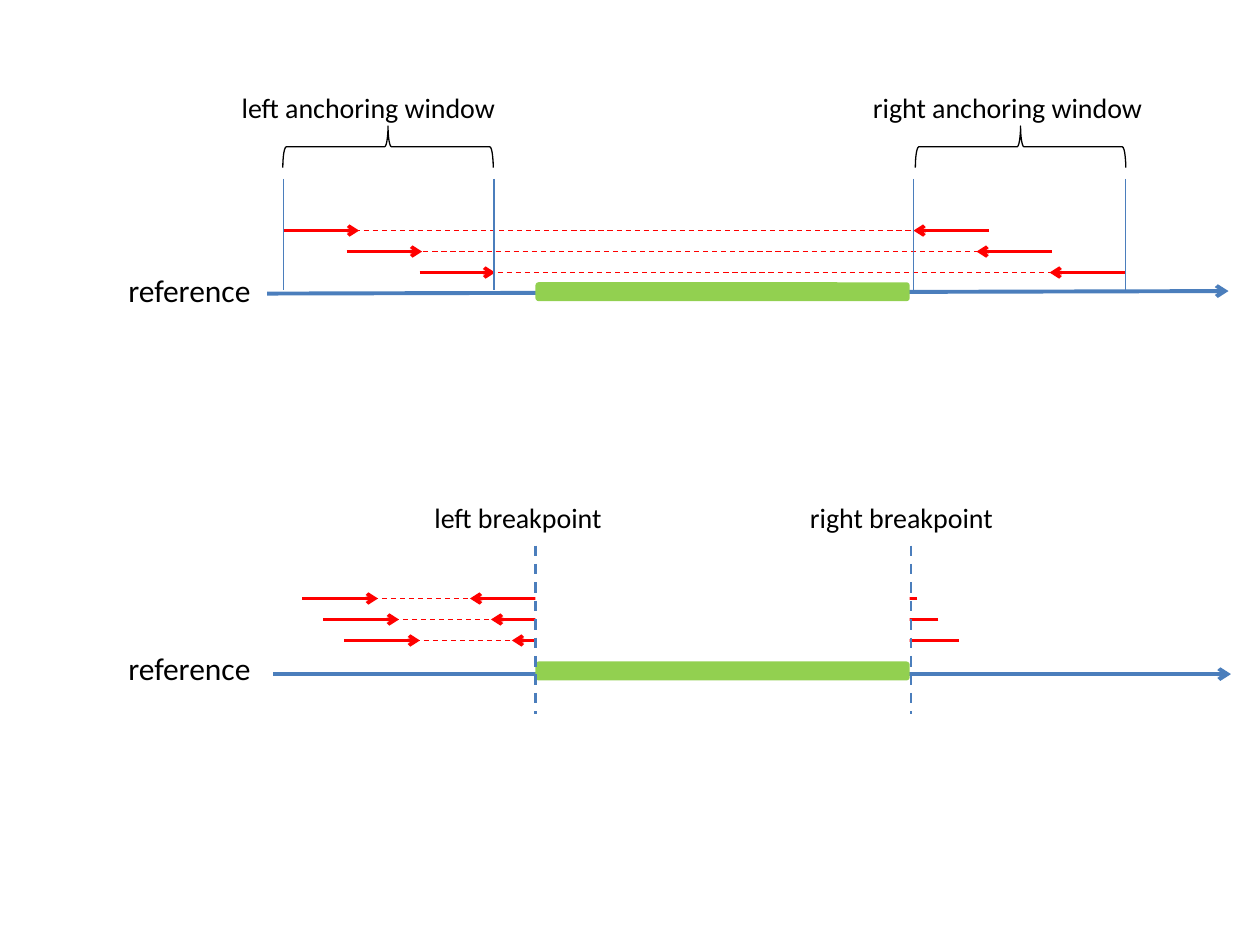
"""Draw reads around anchoring windows and breakpoints on a reference."""
from dataclasses import dataclass

from lxml.etree import SubElement
from pptx import Presentation
from pptx.dml.color import RGBColor
from pptx.enum.dml import MSO_LINE_DASH_STYLE as Dash
from pptx.enum.shapes import MSO_CONNECTOR as Connector, MSO_SHAPE as Preset
from pptx.oxml.ns import qn
from pptx.shapes.shapetree import SlideShapes
from pptx.util import Inches, Pt


@dataclass(frozen=True)
class Theme:
    font: str = "Calibri"
    text: str = "000000"
    reference: str = "4B7EBC"
    read: str = "FF0000"
    region: str = "92D050"
    background: str = "FFFFFF"
    reference_size: float = 18
    label_size: float = 16
    axis_width: float = 2.25
    read_width: float = 2
    breakpoint_width: float = 1.5
    thin_width: float = 0.75


@dataclass(frozen=True)
class Label:
    text: str
    left: float
    top: float
    width: float
    height: float = 0.37
    size: float = Theme.label_size


@dataclass(frozen=True)
class Stroke:
    color: str
    width: float
    dashed: bool = False
    arrow: bool = False


@dataclass(frozen=True)
class ReadPair:
    left: float
    y: float
    gap_start: float
    gap_length: float
    mate_tip: float
    mate_length: float


@dataclass(frozen=True)
class Window:
    label: Label
    left: float
    right: float
    brace_center: float


@dataclass(frozen=True)
class Breakpoint:
    label: Label
    x: float


THEME = Theme()
READ_LENGTH = 0.6
ROW_GAP = 1 / 6
REGION_LEFT, REGION_WIDTH = 4.25, 2.97
AXIS = Stroke(THEME.reference, THEME.axis_width, arrow=True)
READ = Stroke(THEME.read, THEME.read_width, arrow=True)
INSERT = Stroke(THEME.read, THEME.thin_width, dashed=True)
WINDOW_EDGE = Stroke(THEME.reference, THEME.thin_width)
BREAK = Stroke(THEME.reference, THEME.breakpoint_width, dashed=True)

SPANNING_PAIRS = [
    ReadPair(left, 1.83 + row * ROW_GAP, gap_start, 4.9, 5, READ_LENGTH)
    for row, (left, gap_start) in enumerate([(2.25, 0.35), (2.75, 0.18), (3.33, 0.19)])
]
SPLIT_PAIRS = [
    ReadPair(2.4 + row * ROW_GAP, 4.75 + row * ROW_GAP, 0.2, 1.5, 1.33, 3.55)
    for row in range(3)
]
WINDOWS = [
    Window(Label("left anchoring window", 1.82, 0.67, 2.6), 2.25, 3.92, 3.08),
    Window(Label("right anchoring window", 6.83, 0.67, 2.6), 7.25, 8.93, 8.1),
]
BREAKPOINTS = [
    Breakpoint(Label("left breakpoint", 3.35, 3.92, 1.84), 4.25),
    Breakpoint(Label("right breakpoint", 6.33, 3.92, 1.84), 7.23),
]


def draw_line(shapes: SlideShapes, start: tuple[float, float],
              end: tuple[float, float], stroke: Stroke) -> None:
    """Draw a straight line in the given stroke."""
    connector = shapes.add_connector(Connector.STRAIGHT, *map(Inches, start + end))
    connector.line.color.rgb = RGBColor.from_string(stroke.color)
    connector.line.width = Pt(stroke.width)
    if stroke.dashed:
        connector.line.dash_style = Dash.DASH
    if stroke.arrow:
        SubElement(connector.line._get_or_add_ln(), qn("a:tailEnd"), type="arrow")
    SubElement(connector._element.spPr, qn("a:effectLst"))


def draw_label(shapes: SlideShapes, label: Label) -> None:
    """Write a left-aligned label."""
    frame = shapes.add_textbox(*map(
        Inches, (label.left, label.top, label.width, label.height))).text_frame
    frame.word_wrap = True
    paragraph = frame.paragraphs[0]
    paragraph.text = label.text
    paragraph.font.name = THEME.font
    paragraph.font.size = Pt(label.size)
    paragraph.font.color.rgb = RGBColor.from_string(THEME.text)


def draw_region(shapes: SlideShapes, top: float, height: float, color: str) -> None:
    """Draw a rounded block over the region between the breakpoints."""
    region = shapes.add_shape(Preset.ROUNDED_RECTANGLE, *map(
        Inches, (REGION_LEFT, top, REGION_WIDTH, height)))
    region.shadow.inherit = False
    region.fill.solid()
    region.fill.fore_color.rgb = RGBColor.from_string(color)
    region.line.fill.background()


def draw_reference(shapes: SlideShapes, start: tuple[float, float],
                   end: tuple[float, float], label_top: float, region_top: float) -> None:
    """Draw the reference axis with its label and region."""
    draw_line(shapes, start, end, AXIS)
    draw_label(shapes, Label("reference", 0.92, label_top, 1.31, 0.4, THEME.reference_size))
    draw_region(shapes, region_top, 0.15, THEME.region)


def draw_pair(shapes: SlideShapes, pair: ReadPair) -> None:
    """Draw a read, its mate and the dashed insert between them."""
    tip = pair.left + pair.mate_tip
    gap = pair.left + pair.gap_start
    draw_line(shapes, (pair.left, pair.y), (pair.left + READ_LENGTH, pair.y), READ)
    draw_line(shapes, (tip + pair.mate_length, pair.y), (tip, pair.y), READ)
    draw_line(shapes, (gap, pair.y), (gap + pair.gap_length, pair.y), INSERT)


def draw_window(shapes: SlideShapes, window: Window) -> None:
    """Draw the edges, brace and label of an anchoring window."""
    for x in (window.left, window.right):
        draw_line(shapes, (x, 1.42), (x, 2.3), WINDOW_EDGE)
    depth, span = 0.33, 1.67
    brace = shapes.add_shape(Preset.RIGHT_BRACE, *map(
        Inches, (window.brace_center - depth / 2, 0.33, depth, span)))
    brace.rotation = 270
    brace.shadow.inherit = False
    brace.fill.background()
    brace.line.color.rgb = RGBColor.from_string(THEME.text)
    brace.line.width = Pt(THEME.thin_width)
    draw_label(shapes, window.label)


def main() -> None:
    """Build and save the slide."""
    deck = Presentation()
    deck.slide_width, deck.slide_height = Inches(10), Inches(7.5)
    shapes = deck.slides.add_slide(deck.slide_layouts[6]).shapes

    draw_reference(shapes, (2.12, 2.33), (9.75, 2.31), 2.1, 2.24)
    for pair in SPANNING_PAIRS:
        draw_pair(shapes, pair)
    for window in WINDOWS:
        draw_window(shapes, window)

    draw_reference(shapes, (2.17, 5.35), (9.77, 5.35), 5.1, 5.25)
    for pair in SPLIT_PAIRS:
        draw_pair(shapes, pair)
    draw_region(shapes, 4.58, 0.65, THEME.background)
    for site in BREAKPOINTS:
        draw_line(shapes, (site.x, 4.33), (site.x, 5.67), BREAK)
        draw_label(shapes, site.label)

    deck.save("out.pptx")


if __name__ == "__main__":
    main()
